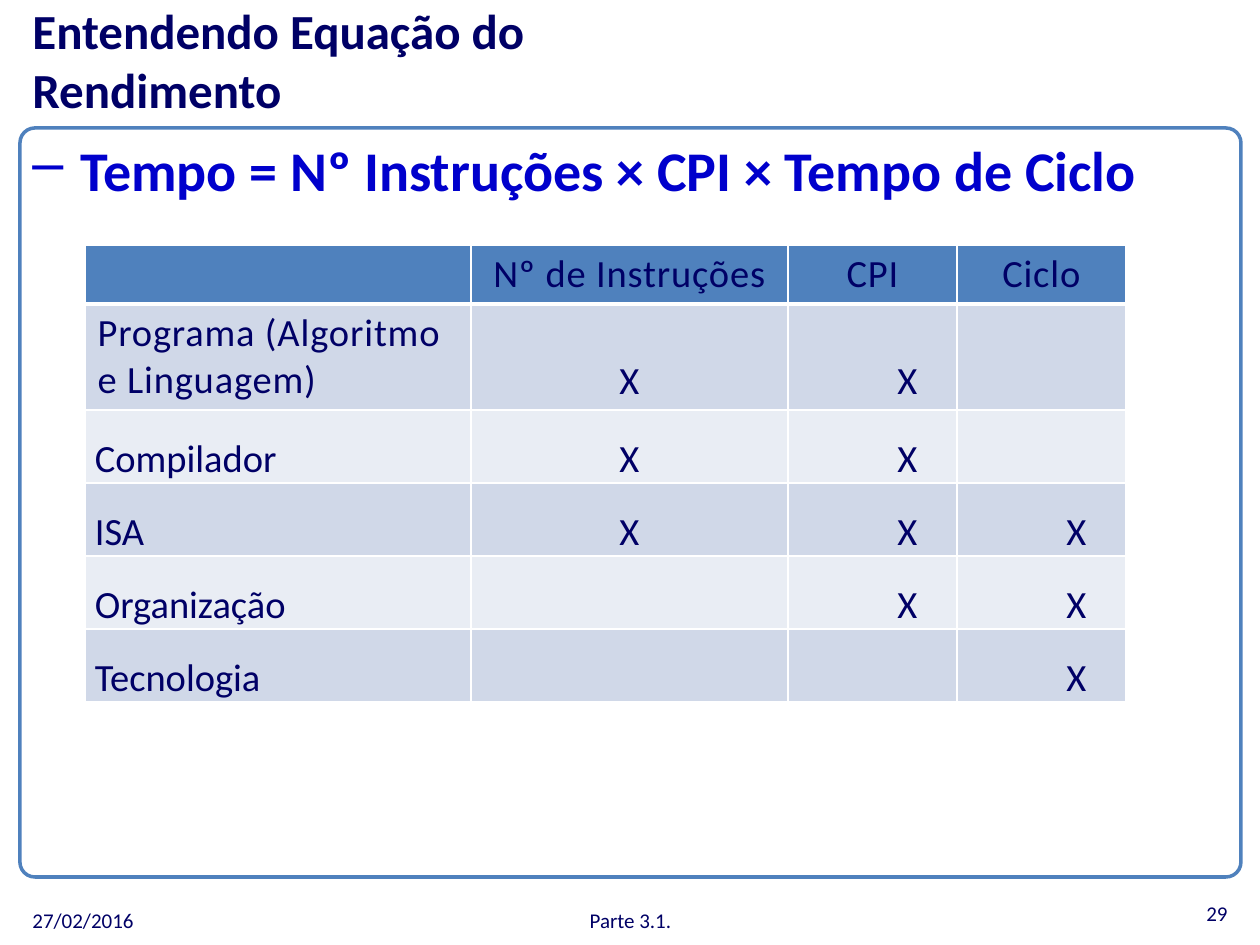
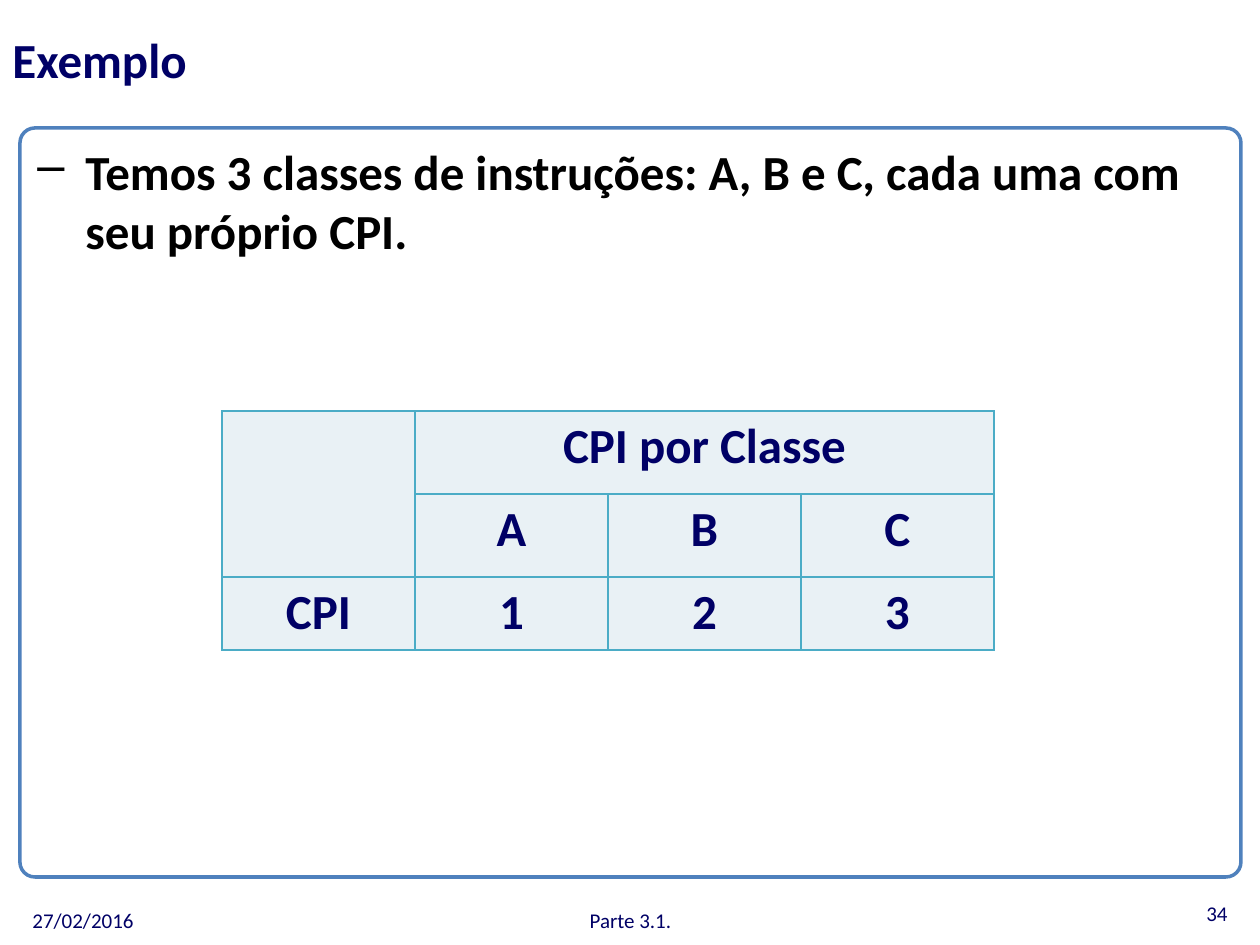
"""Builds two slides on the CPU performance equation, each with a framed body and a table."""
import dataclasses

import pptx
import pptx.dml.color
import pptx.enum.shapes
import pptx.enum.text
import pptx.oxml
import pptx.oxml.ns
import pptx.util

ALIGN = pptx.enum.text.PP_ALIGN
ANCHOR = pptx.enum.text.MSO_ANCHOR
PX = 914400 / 126

EQUATION = {
    "title": "Entendendo Equação do Rendimento",
    "title_left": 20,
    "statement": "Tempo = Nº Instruções × CPI × Tempo de Ciclo",
    "statement_box": (20, 129, 1221, 77),
    "page": "29",
}
FACTORS = ["", "Nº de Instruções", "CPI", "Ciclo"]
INFLUENCES = [
    ("Programa (Algoritmo e Linguagem)", "X", "X", ""),
    ("Compilador", "X", "X", ""),
    ("ISA", "X", "X", "X"),
    ("Organização", "", "X", "X"),
    ("Tecnologia", "", "", "X"),
]
EXAMPLE = {
    "title": "Exemplo",
    "title_left": 0,
    "statement": "Temos 3 classes de instruções: A, B e C, cada uma com seu próprio CPI.",
    "statement_box": (25, 135, 1211, 147),
    "page": "34",
}
CLASS_CPI = [
    ("", "CPI por Classe", "", ""),
    ("", "A", "B", "C"),
    ("CPI", "1", "2", "3"),
]
FOOTERS = [
    ("27/02/2016", (20, 895, 294, 50), ALIGN.LEFT),
    ("Parte 3.1.", (431, 895, 399, 50), ALIGN.CENTER),
]
PAGE_BOX = (946, 888, 294, 50)


@dataclasses.dataclass(frozen=True)
class Theme:
    font: str = "Calibri"
    navy: str = "000066"
    blue: str = "0000CC"
    black: str = "000000"
    white: str = "FFFFFF"
    accent: str = "4F81BD"
    bands: tuple = ("D0D8E8", "E9EDF4")
    teal: str = "4BACC6"
    pale: str = "E9F1F5"
    title: int = 28
    equation: int = 32
    table: int = 22
    footer: int = 12


THEME = Theme()


def px(length):
    return pptx.util.Emu(round(length * PX))


def rgb(value):
    return pptx.dml.color.RGBColor.from_string(value)


def assign(target, values):
    for attribute, value in values.items():
        setattr(target, attribute, value)


def write(frame, text, size, color, bold=False, align=ALIGN.LEFT, spacing=0):
    paragraph = frame.paragraphs[0]
    paragraph.alignment = align
    run = paragraph.add_run()
    run.text = text
    assign(run.font, {"name": THEME.font, "size": pptx.util.Pt(size), "bold": bold})
    run.font.color.rgb = rgb(color)
    if spacing:
        run.font._element.set("spc", str(spacing))
    return paragraph


def add_text(slide, box, text, size, color, anchor=ANCHOR.MIDDLE, **style):
    frame = slide.shapes.add_textbox(*map(px, box)).text_frame
    assign(frame, {"word_wrap": True, "vertical_anchor": anchor})
    return write(frame, text, size, color, **style)


def add_dash(paragraph, indent=48):
    properties = paragraph._p.get_or_add_pPr()
    properties.set("marL", str(px(indent)))
    properties.set("indent", str(-px(indent)))
    bullet = pptx.oxml.ns.qn("a:buChar")
    properties.append(properties.makeelement(bullet, {"char": "–"}))


def set_borders(cell, color, **widths):
    properties = cell._tc.get_or_add_tcPr()
    for place, side in enumerate("LRTB"):
        width = pptx.util.Pt(widths.get(side, 1))
        properties.insert(place, pptx.oxml.parse_xml(
            f'<a:ln{side} {pptx.oxml.ns.nsdecls("a")} w="{width}"><a:solidFill>'
            f'<a:srgbClr val="{color}"/></a:solidFill></a:ln{side}>'))


def add_grid(slide, corner, widths, heights):
    table = slide.shapes.add_table(
        len(heights), len(widths), *map(px, (*corner, sum(widths), sum(heights)))).table
    assign(table, {"first_row": False, "horz_banding": False})
    for column, width in zip(table.columns, widths):
        column.width = px(width)
    for row, height in zip(table.rows, heights):
        row.height = px(height)
    return table


def paint(cell, fill, border, **widths):
    cell.fill.solid()
    cell.fill.fore_color.rgb = rgb(fill)
    set_borders(cell, border, **widths)


def add_page(deck, content, size, color):
    slide = deck.slides.add_slide(deck.slide_layouts[6])
    frame = slide.shapes.add_shape(
        pptx.enum.shapes.MSO_SHAPE.ROUNDED_RECTANGLE, *map(px, (20, 128, 1221, 749)))
    frame.shadow.inherit = False
    frame.adjustments[0] = 0.02
    frame.fill.background()
    frame.line.color.rgb = rgb(THEME.accent)
    frame.line.width = pptx.util.Pt(2)
    add_text(slide, (content["title_left"], 0, 700, 118), content["title"],
             THEME.title, THEME.navy, bold=True)
    add_dash(add_text(slide, content["statement_box"], content["statement"],
                      size, color, ANCHOR.TOP, bold=True))
    for text, box, align in [*FOOTERS, (content["page"], PAGE_BOX, ALIGN.RIGHT)]:
        add_text(slide, box, text, THEME.footer, THEME.navy, align=align)
    return slide


def add_influences(slide):
    table = add_grid(slide, (85, 245), (386, 317, 169, 169), (59, 106, 73, 73, 73, 73))
    mark_indents = (10, 0, 70, 70)
    for row, texts in enumerate([FACTORS, *INFLUENCES]):
        for column, text in enumerate(texts):
            cell = table.cell(row, column)
            fill = THEME.bands[(row - 1) % 2] if row else THEME.accent
            paint(cell, fill, THEME.white, T=3 if row == 1 else 1, B=1 if row else 3)
            spaced = row == 0 or (row == 1 and column == 0)
            if not spaced:
                assign(cell, {
                    "margin_left": px(mark_indents[column]), "margin_right": 0,
                    "margin_top": 0, "margin_bottom": px(5 if row == 1 else 0),
                    "vertical_anchor": ANCHOR.BOTTOM})
            if text:
                write(cell.text_frame, text, THEME.table, THEME.navy,
                      align=ALIGN.CENTER if column else ALIGN.LEFT,
                      spacing=50 if spaced else 0)


def add_class_cpi(slide):
    table = add_grid(slide, (222, 411), (193,) * 4, (83, 83, 73))
    for row, texts in enumerate(CLASS_CPI):
        for column, text in enumerate(texts):
            cell = table.cell(row, column)
            paint(cell, THEME.pale, THEME.teal)
            if text:
                write(cell.text_frame, text, THEME.title, THEME.navy,
                      bold=True, align=ALIGN.CENTER)
    table.cell(0, 0).merge(table.cell(1, 0))
    table.cell(0, 1).merge(table.cell(0, 3))


def main():
    deck = pptx.Presentation()
    assign(deck, {"slide_width": px(1260), "slide_height": px(945)})
    add_influences(add_page(deck, EQUATION, THEME.equation, THEME.blue))
    add_class_cpi(add_page(deck, EXAMPLE, THEME.title, THEME.black))
    deck.save("out.pptx")


if __name__ == "__main__":
    main()
